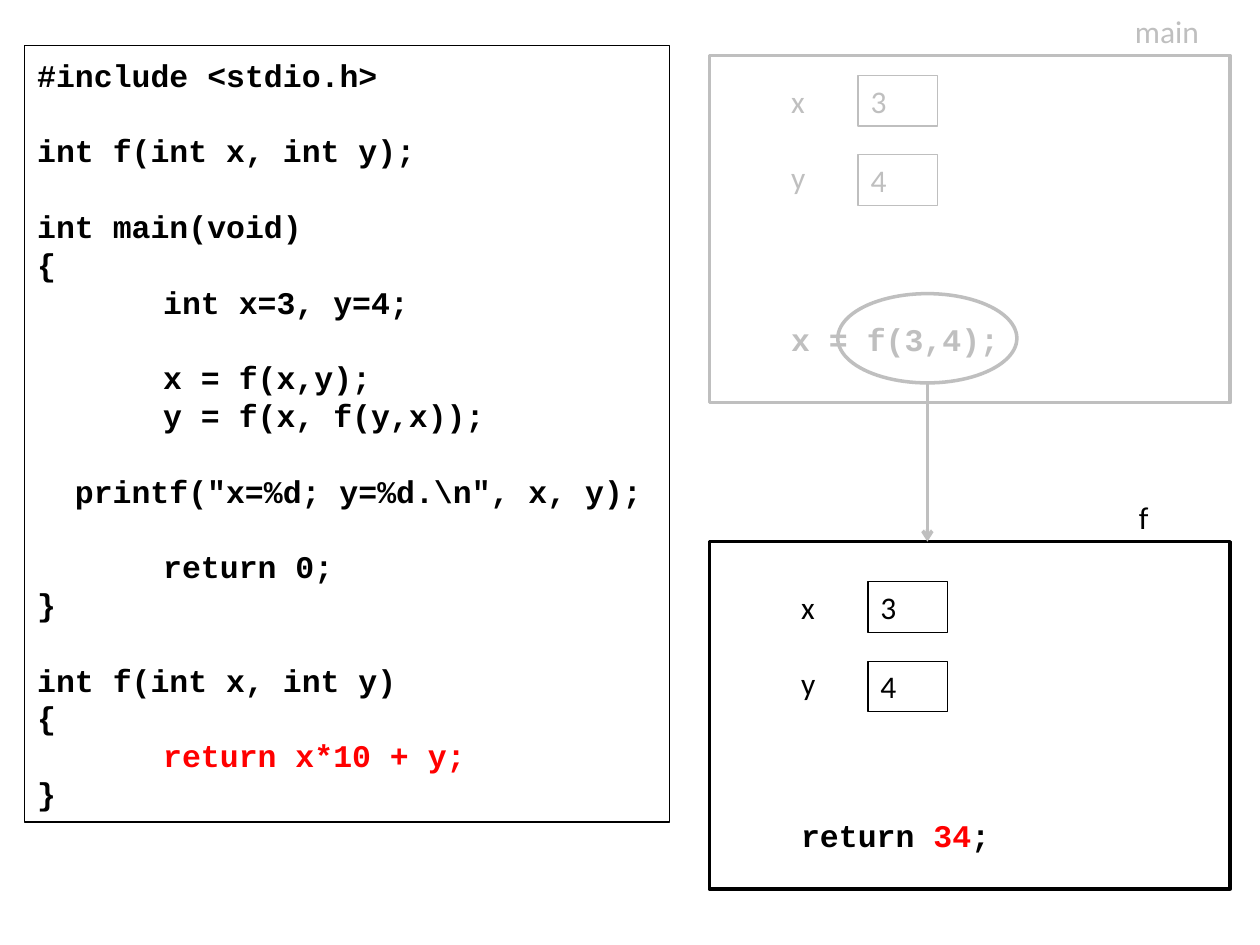
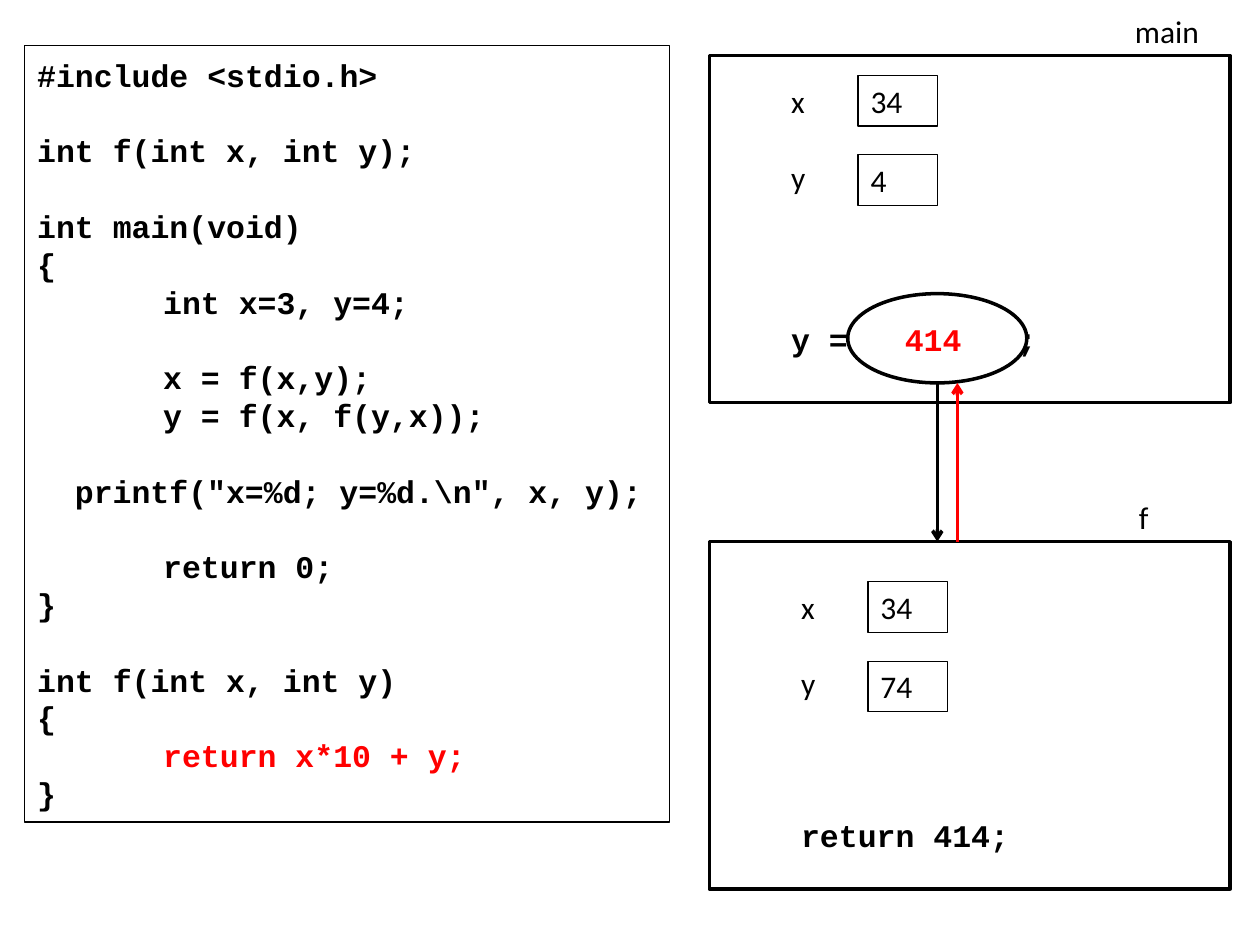
from dataclasses import dataclass

from lxml.etree import SubElement
from pptx import Presentation
from pptx.dml.color import RGBColor
from pptx.enum.shapes import MSO_CONNECTOR, MSO_SHAPE
from pptx.enum.text import MSO_ANCHOR, PP_ALIGN
from pptx.oxml.ns import qn
from pptx.util import Cm, Pt

BLACK = RGBColor(0x00, 0x00, 0x00)
GREY = RGBColor(0xBF, 0xBF, 0xBF)
RED = RGBColor(0xFF, 0x00, 0x00)
WHITE = RGBColor(0xFF, 0xFF, 0xFF)
SANS, MONO = "Calibri", "Courier New"
MONO_LINE, SANS_LINE = 21.6, 22
THIN, THICK = 0.75, 2

FRAME_LEFT, FRAME_W, FRAME_H = 14.3, 10.5, 7.0
ROW_H, ROW_PITCH, CELL_W = 1.02, 1.6, 1.6
CALL_TOP, CALL_W, CALL_H = 5.92, 3.61, 1.8
TAB = 2.54


@dataclass(frozen=True)
class Line:
    text: str
    indent: float = 0
    gap: float = 0
    color: RGBColor | None = None


@dataclass(frozen=True)
class Frame:
    name: str
    name_left: float
    top: float
    left: float
    values_top: float
    statement_top: float


@dataclass(frozen=True)
class State:
    color: RGBColor
    x: str
    y: str
    statement: list[tuple[str, RGBColor]]
    tabs: tuple[float, ...] = ()


@dataclass(frozen=True)
class Step:
    main: State
    f: State
    call_left: float
    return_x: float | None = None


CODE = [
    Line("#include <stdio.h>"),
    Line("int f(int x, int y);", gap=MONO_LINE),
    Line("int main(void)", gap=MONO_LINE),
    Line("{"),
    Line("int x=3, y=4;", TAB),
    Line("x = f(x,y);", TAB, MONO_LINE),
    Line("y = f(x, f(y,x));", TAB),
    Line("printf(\u2033x=%d; y=%d.\\n\u2033, x, y);", 0.76, MONO_LINE),
    Line("return 0;", TAB, MONO_LINE),
    Line("}"),
    Line("int f(int x, int y)", gap=MONO_LINE),
    Line("{"),
    Line("return x*10 + y;", TAB, color=RED),
    Line("}"),
]

MAIN = Frame("main", 22.63, 1.12, 15.7, 1.52, 6.32)
F = Frame("f", 22.71, 10.92, 15.9, 11.73, 16.33)

STEPS = [
    Step(
        State(GREY, "3", "4", [("x = f(3,4);", GREY)]),
        State(BLACK, "3", "4", [("return ", BLACK), ("34", RED), (";", BLACK)]),
        call_left=16.89,
    ),
    Step(
        State(BLACK, "34", "4", [("y =\t", BLACK), ("414\t", RED), (";", BLACK)],
              tabs=(2.29, 4.57)),
        State(BLACK, "34", "74", [("return 414;", BLACK)]),
        call_left=17.09,
        return_x=19.3,
    ),
]


def add_run(p, text: str, *, font=SANS, color=BLACK, bold=False) -> None:
    r = p.add_run()
    r.text = text
    r.font.name = font
    r.font.size = Pt(18)
    r.font.bold = bold
    r.font.color.rgb = color


def write(sp, lines: list[Line], *, font=SANS, color=BLACK, bold=False,
          anchor=MSO_ANCHOR.TOP):
    tf = sp.text_frame
    tf.word_wrap = True
    tf.vertical_anchor = anchor
    for i, line in enumerate(lines):
        p = tf.add_paragraph() if i else tf.paragraphs[0]
        p.alignment = PP_ALIGN.LEFT
        p.space_before = Pt(line.gap)
        if font == MONO:
            p.line_spacing = Pt(MONO_LINE)
        if line.indent:
            p._p.get_or_add_pPr().set("marL", str(Cm(line.indent)))
        add_run(p, line.text, font=font, color=line.color or color, bold=bold)


def add_label(s, left: float, top: float, w: float, h: float):
    return s.shapes.add_textbox(Cm(left), Cm(top), Cm(w), Cm(h))


def add_outline(s, left: float, top: float, w: float, h: float, color: RGBColor,
                *, width=THIN, fill=None, kind=MSO_SHAPE.RECTANGLE):
    sp = s.shapes.add_shape(kind, Cm(left), Cm(top), Cm(w), Cm(h))
    sp.shadow.inherit = False
    sp.line.color.rgb = color
    sp.line.width = Pt(width)
    if fill is None:
        sp.fill.background()
    else:
        sp.fill.solid()
        sp.fill.fore_color.rgb = fill
    return sp


def add_arrow(s, x: float, start: float, end: float, color: RGBColor) -> None:
    c = s.shapes.add_connector(MSO_CONNECTOR.STRAIGHT, Cm(x), Cm(start), Cm(x), Cm(end))
    c.line.color.rgb = color
    c.line.width = Pt(THICK)
    SubElement(c.line._get_or_add_ln(), qn("a:tailEnd"), type="arrow")
    SubElement(c._element.spPr, qn("a:effectLst"))


def add_statement(s, frame: Frame, state: State) -> None:
    tf = add_label(s, frame.left, frame.statement_top, 7, ROW_H).text_frame
    tf.word_wrap = True
    p = tf.paragraphs[0]
    p.line_spacing = Pt(MONO_LINE)
    if state.tabs:
        tab_list = SubElement(p._p.get_or_add_pPr(), qn("a:tabLst"))
        for pos in state.tabs:
            SubElement(tab_list, qn("a:tab"), pos=str(Cm(pos)), algn="l")
    for text, color in state.statement:
        add_run(p, text, font=MONO, color=color, bold=True)


def add_frame(s, frame: Frame, state: State) -> None:
    color = state.color
    add_outline(s, FRAME_LEFT, frame.top, FRAME_W, FRAME_H, color, width=THICK, fill=WHITE)
    name = add_label(s, frame.name_left, frame.top - 1, 2, ROW_H)
    write(name, [Line(frame.name)], color=color)
    add_statement(s, frame, state)
    variables = add_label(s, frame.left, frame.values_top, 1.3, 2.57)
    write(variables, [Line("x"), Line("y", gap=SANS_LINE)], color=color)
    for row, value in enumerate((state.x, state.y)):
        cell = add_outline(s, frame.left + 1.6, frame.values_top + row * ROW_PITCH,
                           CELL_W, ROW_H, color)
        write(cell, [Line(value)], color=color)


def add_step(prs, step: Step) -> None:
    s = prs.slides.add_slide(prs.slide_layouts[6])
    code = add_outline(s, 0.5, 0.92, 13, 15.65, BLACK)
    write(code, CODE, font=MONO, bold=True, anchor=MSO_ANCHOR.MIDDLE)
    add_frame(s, MAIN, step.main)
    add_frame(s, F, step.f)
    call_bottom = CALL_TOP + CALL_H
    add_outline(s, step.call_left, CALL_TOP, CALL_W, CALL_H, step.main.color,
                width=THICK, kind=MSO_SHAPE.OVAL)
    add_arrow(s, step.call_left + CALL_W / 2, call_bottom, F.top, step.main.color)
    if step.return_x is not None:
        add_arrow(s, step.return_x, F.top, call_bottom, RED)


prs = Presentation()
prs.slide_width, prs.slide_height = Cm(25.4), Cm(19.05)
for step in STEPS:
    add_step(prs, step)
prs.save("out.pptx")
